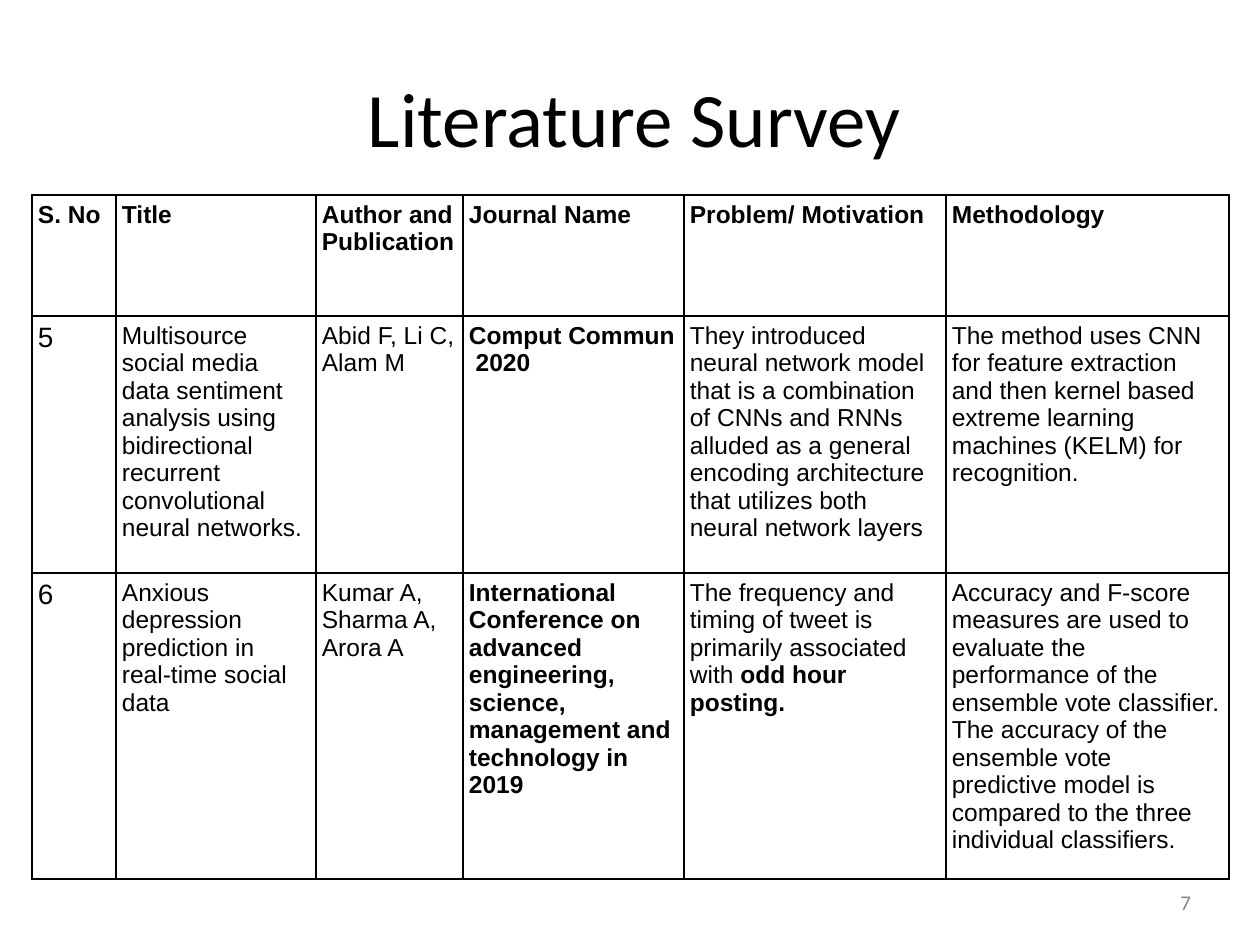
from lxml.etree import SubElement
from pptx import Presentation
from pptx.dml.color import RGBColor
from pptx.enum.text import MSO_ANCHOR, MSO_AUTO_SIZE, PP_ALIGN
from pptx.oxml.ns import qn
from pptx.util import Pt

PX = 914400 / 126
BLACK = RGBColor(0, 0, 0)
GREY = RGBColor(0x88, 0x88, 0x88)
WHITE = RGBColor(255, 255, 255)
INSET = 6
COLUMNS = [84, 200, 147, 221, 262, 283]
ROWS = [121, 257, 302]
NUMBER_COLUMN, JOURNAL_COLUMN = 0, 3

HEADINGS = ["S. No", "Title", "Author and Publication", "Journal Name",
            "Problem/ Motivation", "Methodology"]
# A cell is plain text, or a pair of plain text and the bold text that ends it.
PAPERS = [
    ["5",
     "Multisource social media data sentiment analysis using bidirectional "
     "recurrent convolutional neural networks.",
     "Abid F, Li C, Alam M",
     "Comput Commun  2020",
     "They introduced neural network model that is a combination of CNNs and "
     "RNNs alluded as a general encoding architecture that utilizes both "
     "neural network layers",
     "The method uses CNN for feature extraction and then kernel based "
     "extreme learning machines (KELM) for recognition."],
    ["6",
     "Anxious depression prediction in real-time social data",
     "Kumar A, Sharma A, Arora A",
     "International Conference on advanced engineering, science, management "
     "and technology in 2019",
     ("The frequency and timing of tweet is primarily associated with ",
      "odd hour posting."),
     "Accuracy and F-score measures are used to evaluate the performance of "
     "the ensemble vote classifier. The accuracy of the ensemble vote "
     "predictive model is compared to the three individual classifiers."],
]


def px(length):
    return round(length * PX)


def set_all(target, values):
    for name, value in values.items():
        setattr(target, name, value)


def set_insets(target):
    for side in ("left", "top", "right", "bottom"):
        setattr(target, f"margin_{side}", px(INSET))


def add_span(para, text, size, font="Arial", color=BLACK, bold=False):
    span = para.add_run()
    span.text = text
    set_all(span.font, {"name": font, "size": Pt(size), "bold": bold})
    span.font.color.rgb = color


def add_label(page, area, text, size, color, **frame_format):
    """Add a right-aligned text box, centred vertically."""
    box = page.shapes.add_textbox(*map(px, area))
    frame = box.text_frame
    set_insets(frame)
    set_all(frame, {"vertical_anchor": MSO_ANCHOR.MIDDLE, **frame_format})
    para = frame.paragraphs[0]
    para.alignment = PP_ALIGN.RIGHT
    add_span(para, text, size, "Calibri", color)


def add_borders(cell):
    properties = cell._tc.get_or_add_tcPr()
    for side in ("lnL", "lnR", "lnT", "lnB"):
        line = SubElement(properties, qn(f"a:{side}"), w=str(Pt(1)))
        fill = SubElement(line, qn("a:solidFill"))
        SubElement(fill, qn("a:srgbClr"), val=str(BLACK))


def fill_cell(cell, content, size, bold):
    set_insets(cell)
    add_borders(cell)
    cell.fill.solid()
    cell.fill.fore_color.rgb = WHITE
    para = cell.text_frame.paragraphs[0]
    parts = (content,) if isinstance(content, str) else content
    for index, text in enumerate(parts):
        add_span(para, text, size, bold=bold or index > 0)


def add_survey_table(page, left, top):
    table = page.shapes.add_table(
        len(ROWS), len(COLUMNS), px(left), px(top),
        px(sum(COLUMNS)), px(sum(ROWS))).table
    set_all(table, {"first_row": False, "horz_banding": False})
    for column, width in zip(table.columns, COLUMNS):
        column.width = px(width)
    for row, height in zip(table.rows, ROWS):
        row.height = px(height)
    for r, contents in enumerate([HEADINGS, *PAPERS]):
        for c, content in enumerate(contents):
            heading = r == 0
            size = 16 if c == NUMBER_COLUMN and not heading else 14
            fill_cell(table.cell(r, c), content, size,
                      heading or c == JOURNAL_COLUMN)


def main():
    deck = Presentation()
    set_all(deck, {"slide_width": px(1260), "slide_height": px(945)})
    page = deck.slides.add_slide(deck.slide_layouts[6])
    add_label(page, (-227, 38, 1134, 157), "Literature Survey", 44, BLACK,
              word_wrap=True)
    add_label(page, (1172, 885, 25, 34), "7", 12, GREY, word_wrap=False,
              auto_size=MSO_AUTO_SIZE.SHAPE_TO_FIT_TEXT)
    add_survey_table(page, 32, 195)
    deck.save("out.pptx")


if __name__ == "__main__":
    main()
